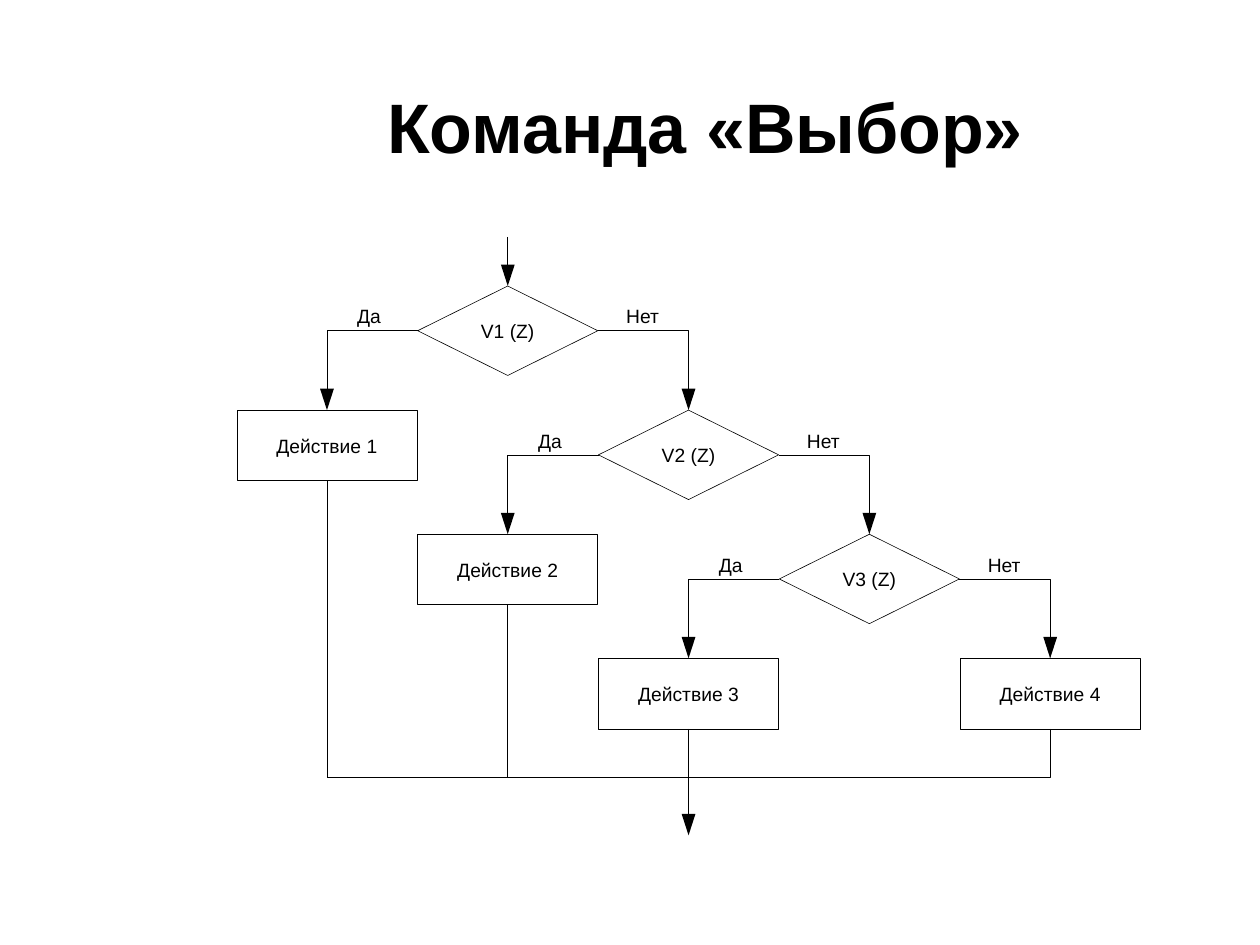
from pptx import Presentation
from pptx.dml.color import RGBColor
from pptx.enum.shapes import MSO_CONNECTOR, MSO_SHAPE
from pptx.enum.text import MSO_ANCHOR, PP_ALIGN
from pptx.oxml.ns import qn
from pptx.util import Inches, Pt
from lxml.etree import SubElement

TITLE = "Команда «Выбор»"
TESTS = ["V1 (Z)", "V2 (Z)", "V3 (Z)"]
ACTIONS = ["Действие 1", "Действие 2", "Действие 3", "Действие 4"]
YES, NO = "Да", "Нет"

COLORS = {"ink": "000000", "paper": "FFFFFF"}
FONT = "Arial"
LINE = Pt(0.34)

STEP_X, STEP_Y = 1.435, 0.985
TEST_X, TEST_Y = 4.03, 2.625   # centre of the first test
WIDE, TEST_H, BOX_H = 1.43, 0.71, 0.56
DROP = 0.63                    # from a test's centre to the next row's top
HEAD_W, HEAD_H = 0.11, 0.17
ENTRY_Y, JOIN_Y, EXIT_Y = 1.88, 6.17, 6.63

prs = Presentation()
prs.slide_width, prs.slide_height = Inches(10), Inches(7.5)
slide = prs.slides.add_slide(prs.slide_layouts[5])
shapes = slide.shapes


def color(name):
    return RGBColor.from_string(COLORS[name])


def write(shape, text, size=11, bold=False):
    frame = shape.text_frame
    frame.margin_left = frame.margin_right = 0
    frame.margin_top = frame.margin_bottom = 0
    frame.vertical_anchor = MSO_ANCHOR.MIDDLE
    frame.text = text
    para = frame.paragraphs[0]
    para.alignment = PP_ALIGN.CENTER
    para.font.name, para.font.size, para.font.bold = FONT, Pt(size), bold
    para.font.color.rgb = color("ink")
    return frame


def stroke(shape):
    shape.line.color.rgb = color("ink")
    shape.line.width = LINE


def node(kind, x, top, height, text):
    """Draw a flowchart block centred on x."""
    block = shapes.add_shape(kind, Inches(x - WIDE / 2), Inches(top),
                             Inches(WIDE), Inches(height))
    block.shadow.inherit = False
    block.fill.solid()
    block.fill.fore_color.rgb = color("paper")
    stroke(block)
    write(block, text).word_wrap = False


def label(x, y, text):
    box = shapes.add_textbox(Inches(x - 0.25), Inches(y - 0.09),
                             Inches(0.5), Inches(0.18))
    write(box, text).word_wrap = False


def line(*points):
    """Draw a straight connector, or an open outline if it bends."""
    spots = [(Inches(x), Inches(y)) for x, y in points]
    if len(spots) == 2:
        wire = shapes.add_connector(MSO_CONNECTOR.STRAIGHT, *spots[0], *spots[1])
        SubElement(wire._element.spPr, qn("a:effectLst"))
    else:
        pen = shapes.build_freeform(*spots[0])
        pen.add_line_segments(spots[1:], close=False)
        wire = pen.convert_to_shape()
        wire.fill.background()
        wire.shadow.inherit = False
    stroke(wire)


def arrow(*points):
    """Draw a line with a solid head that points down at its last point."""
    x, y = points[-1]
    line(*points[:-1], (x, y - HEAD_H + 0.02))
    head = shapes.add_shape(MSO_SHAPE.FLOWCHART_MERGE, Inches(x - HEAD_W / 2),
                            Inches(y - HEAD_H), Inches(HEAD_W), Inches(HEAD_H))
    head.shadow.inherit = False
    head.fill.solid()
    head.fill.fore_color.rgb = color("ink")
    head.line.fill.background()


title = shapes.title
title.left, title.top = Inches(0.27), Inches(0.33)
title.width, title.height = Inches(9.48), Inches(0.93)
frame = write(title, TITLE, 40, True)
frame.margin_left, frame.margin_top = Inches(1.17), Inches(0.33)
frame.vertical_anchor = MSO_ANCHOR.TOP

arrow((TEST_X, ENTRY_Y), (TEST_X, TEST_Y - TEST_H / 2))
boxes = []
for i, test in enumerate(TESTS):
    x, y = TEST_X + i * STEP_X, TEST_Y + i * STEP_Y
    node(MSO_SHAPE.DIAMOND, x, y - TEST_H / 2, TEST_H, test)
    for side, text, shift in ((-1, YES, 1.1), (1, NO, 1.07)):
        end = x + side * STEP_X
        arrow((x + side * WIDE / 2, y), (end, y), (end, y + DROP))
        label(x + side * shift, y - 0.115, text)
    boxes.append((x - STEP_X, y + DROP))
boxes.append((x + STEP_X, y + DROP))

for (x, top), text in zip(boxes, ACTIONS):
    node(MSO_SHAPE.RECTANGLE, x, top, BOX_H, text)

first, second, third, last = [(x, top + BOX_H) for x, top in boxes]
for x, y in (first, second):
    line((x, y), (x, JOIN_Y))
line(last, (last[0], JOIN_Y), (first[0], JOIN_Y))
arrow(third, (third[0], EXIT_Y))

prs.save("out.pptx")
